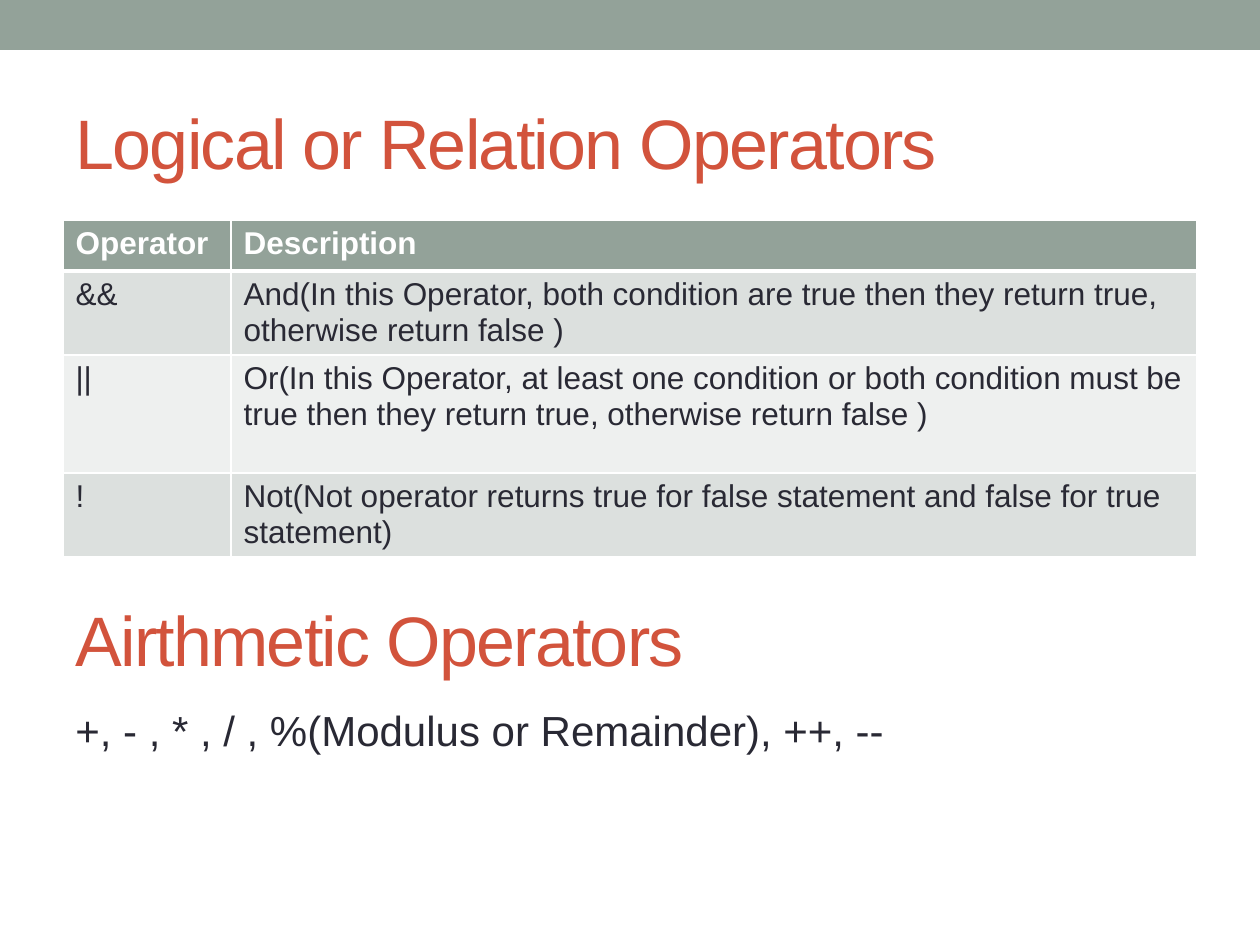
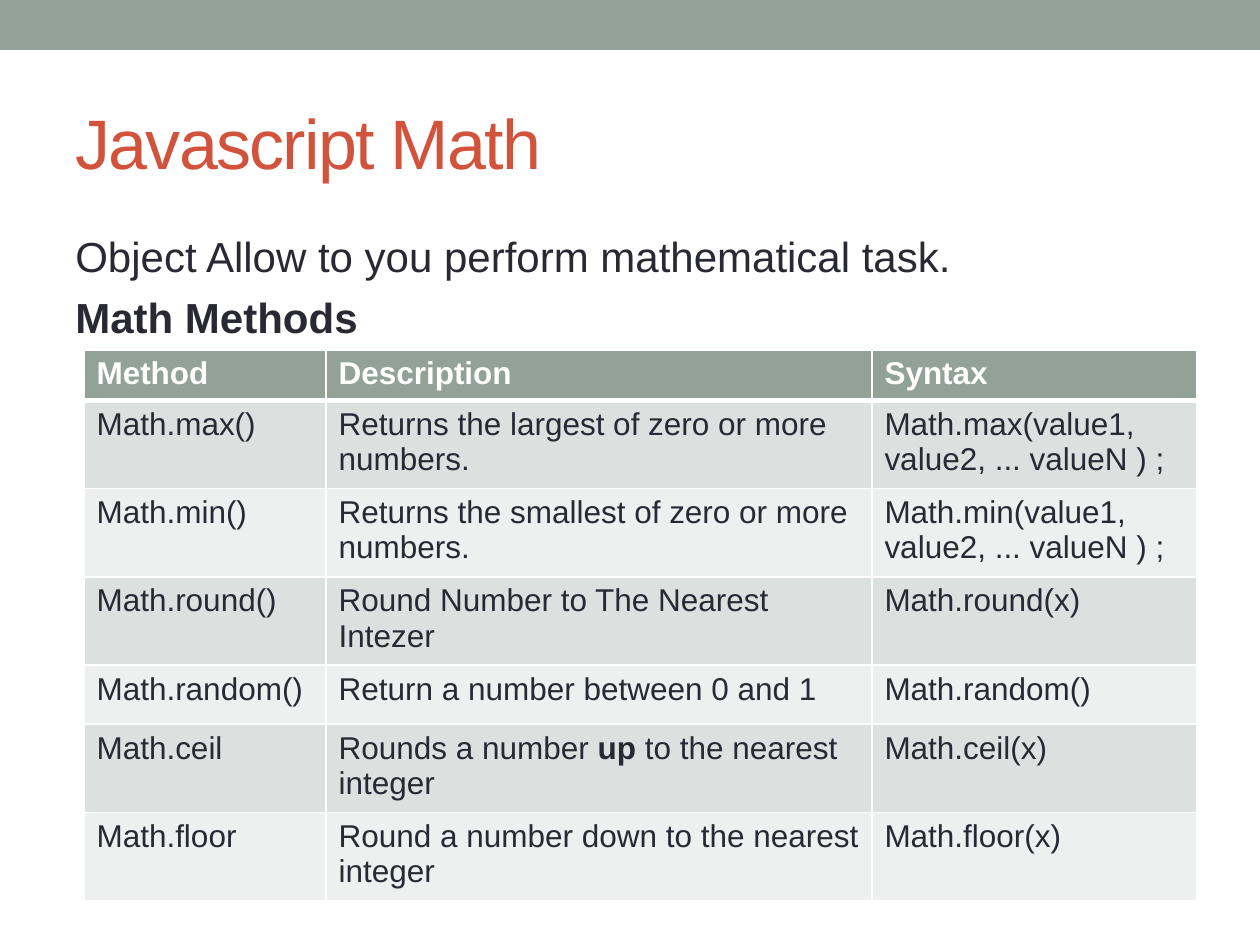
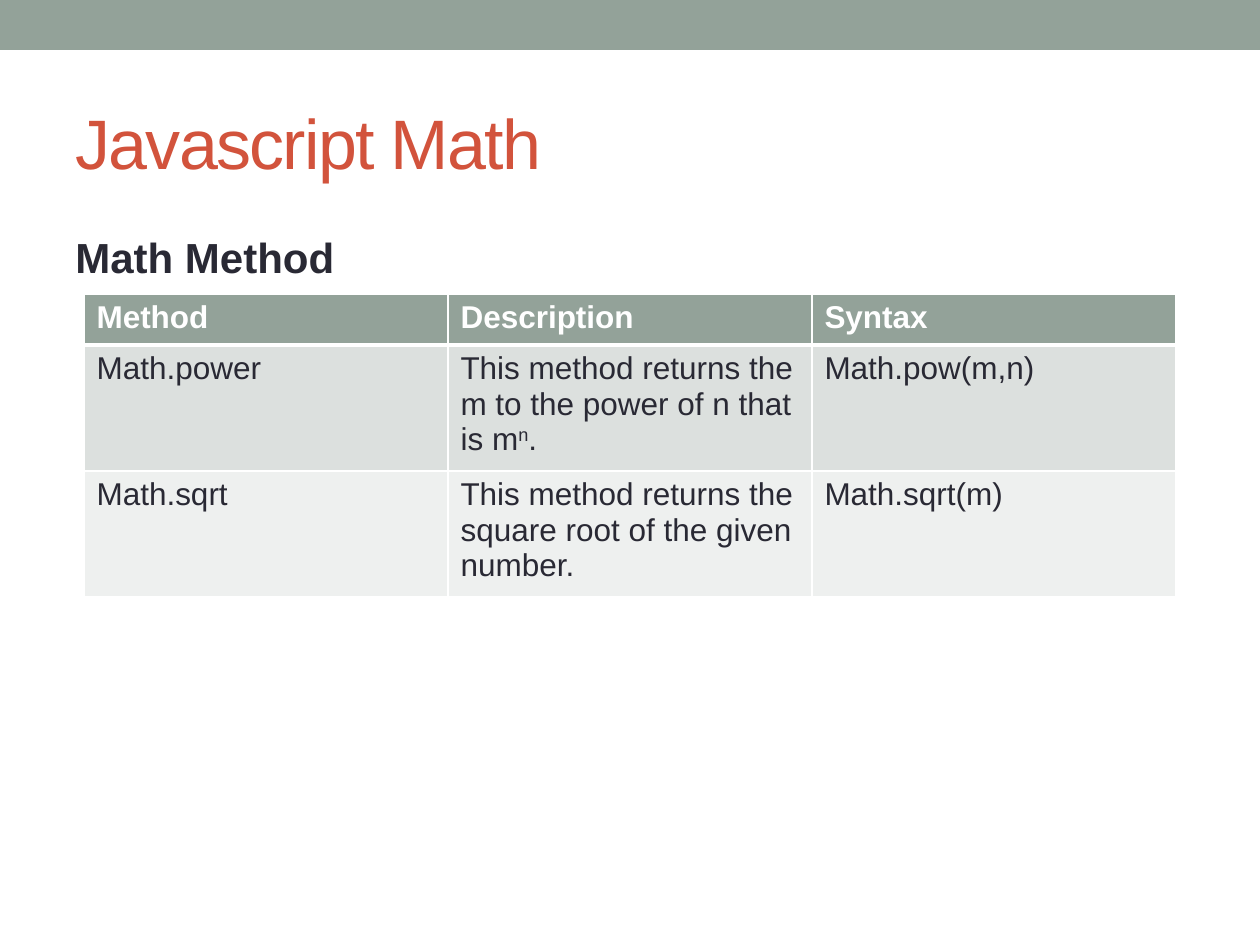
from lxml.etree import SubElement
from pptx import Presentation
from pptx.dml.color import RGBColor
from pptx.enum.shapes import MSO_SHAPE
from pptx.enum.text import MSO_ANCHOR, MSO_AUTO_SIZE, PP_ALIGN
from pptx.oxml.ns import qn
from pptx.util import Emu, Pt

FONT = "Arial"
SAGE, BRICK, INK, WHITE = "93A299", "D2533C", "292934", "FFFFFF"
STRIPES = ["DCE0DE", "EEF0EF"]
WIDTH, HEIGHT, BAND = 1260, 945, 50
LEFT, CONTENT_W = 63, 1134
TITLE_BOX = (LEFT, 73, CONTENT_W, 136)
MATH_HEADER = ["Method", "Description", "Syntax"]


def px(n):
    """Turn pixels at 126 to the inch into EMU."""
    return Emu(round(n * 914400 / 126))


def color(value):
    """Turn a hex string into a colour."""
    return RGBColor.from_string(value)


def place(sp, box):
    """Move a shape to a box of left, top, width, height."""
    sp.left, sp.top, sp.width, sp.height = map(px, box)


def write(tf, *paras, size=18, ink=INK, bold=False, spacing=0, before=0):
    """Fill a text frame; a paragraph is a string or a list of (text, style) runs."""
    tf.word_wrap = True
    for i, para in enumerate(paras):
        p = tf.paragraphs[0] if i == 0 else tf.add_paragraph()
        p.alignment = PP_ALIGN.LEFT
        p.space_before = Pt(before if i else 0)
        for text, style in [(para, "")] if isinstance(para, str) else para:
            r = p.add_run()
            r.text = text
            r.font.name, r.font.size = FONT, Pt(size)
            r.font.bold = bold or style == "bold"
            r.font.color.rgb = color(ink)
            rPr = r._r.get_or_add_rPr()
            if spacing:
                rPr.set("spc", str(spacing * 100))
            if style == "super":
                rPr.set("baseline", "30000")


def heading(sp, text, box):
    """Place a large heading in the title style."""
    place(sp, box)
    tf = sp.text_frame
    tf.auto_size = MSO_AUTO_SIZE.NONE
    tf.vertical_anchor = MSO_ANCHOR.MIDDLE
    write(tf, text, size=40, ink=BRICK, spacing=-1)


def body(slide, box, *paras, bold=False):
    """Add a box of body text."""
    tf = slide.shapes.add_textbox(*map(px, box)).text_frame
    tf.margin_top = px(11)
    write(tf, *paras, size=24, before=6, bold=bold)


def borders(cell, top, bottom):
    """Draw white cell borders, with the top and bottom widths in points."""
    tcPr = cell._tc.get_or_add_tcPr()
    for side, width in zip("LRTB", (1, 1, top, bottom)):
        ln = SubElement(tcPr, qn(f"a:ln{side}"), w=str(Pt(width)))
        SubElement(SubElement(ln, qn("a:solidFill")), qn("a:srgbClr"), val=WHITE)


def striped_table(slide, left, top, widths, heights, rows):
    """Add a table with a sage header and alternating row fills."""
    box = (left, top, sum(widths), sum(heights))
    table = slide.shapes.add_table(len(rows), len(widths), *map(px, box)).table
    table.first_row = table.horz_banding = False
    for column, width in zip(table.columns, widths):
        column.width = px(width)
    for i, (row, height) in enumerate(zip(rows, heights)):
        table.rows[i].height = px(height)
        header = i == 0
        for j, text in enumerate(row):
            cell = table.cell(i, j)
            borders(cell, 3 if i == 1 else 1, 3 if header else 1)
            cell.fill.solid()
            cell.fill.fore_color.rgb = color(SAGE if header else STRIPES[(i - 1) % 2])
            write(cell.text_frame, text, ink=WHITE if header else INK, bold=header)


def add_slide(prs, title):
    """Add a title-only slide with its title."""
    slide = prs.slides.add_slide(prs.slide_layouts[5])
    heading(slide.shapes.title, title, TITLE_BOX)
    return slide


def add_band(prs, slide):
    """Draw the top band and hand it to the shared layout."""
    sp = slide.shapes.add_shape(MSO_SHAPE.RECTANGLE, 0, 0, px(WIDTH), px(BAND))
    sp.shadow.inherit = False
    sp.fill.solid()
    sp.fill.fore_color.rgb = color(SAGE)
    sp.line.fill.background()
    slide.slide_layout.shapes.element.insert(2, sp.element)


def operators_slide(prs):
    """Build the slide on logical and arithmetic operators."""
    slide = add_slide(prs, "Logical or Relation Operators")
    add_band(prs, slide)
    striped_table(slide, LEFT, 220, [168, 966], [51, 84, 118, 84], [
        ["Operator", "Description"],
        ["&&", "And(In this Operator, both condition are true then they return true, "
               "otherwise return false )"],
        ["||", "Or(In this Operator, at least one condition or both condition must be "
               "true then they return true, otherwise return false )"],
        ["!", "Not(Not operator returns true for false statement and false for true "
              "statement)"],
    ])
    box = (LEFT, 577, CONTENT_W, 123)
    heading(slide.shapes.add_textbox(*map(px, box)), "Airthmetic Operators", box)
    body(slide, (LEFT, 693, CONTENT_W, 84),
         "+, - , * , / , %(Modulus or Remainder), ++, --")


def methods_slide(prs):
    """Build the slide with the main Math methods."""
    slide = add_slide(prs, "Javascript Math")
    body(slide, (LEFT, 220, CONTENT_W, 126),
         "Object Allow to you perform mathematical task.", [("Math Methods", "bold")])
    heights = [48, 84, 84, 84, 59, 84, 84]
    striped_table(slide, 84, 350, [242, 546, 325], heights, [
        MATH_HEADER,
        ["Math.max()", "Returns the largest of zero or more numbers.",
         "Math.max(value1, value2, ... valueN ) ;"],
        ["Math.min()", "Returns the smallest of zero or more numbers.",
         "Math.min(value1, value2, ... valueN ) ;"],
        ["Math.round()", "Round Number to The Nearest Intezer", "Math.round(x)"],
        ["Math.random()", "Return a number between 0 and 1", "Math.random()"],
        ["Math.ceil",
         [("Rounds a number ", ""), ("up", "bold"), (" to the nearest integer", "")],
         "Math.ceil(x)"],
        ["Math.floor", "Round a number down to the nearest integer", "Math.floor(x)"],
    ])


def powers_slide(prs):
    """Build the slide with the power and root methods."""
    slide = add_slide(prs, "Javascript Math")
    body(slide, (LEFT, 220, CONTENT_W, 70), "Math Method", bold=True)
    striped_table(slide, 84, 294, [364] * 3, [51, 118, 118], [
        MATH_HEADER,
        ["Math.power",
         [("This method returns the m to the power of n that is m", ""),
          ("n", "super"), (".", "")],
         "Math.pow(m,n)"],
        ["Math.sqrt", "This method returns the square root of the given number.",
         "Math.sqrt(m)"],
    ])


def main():
    """Build and save the presentation."""
    prs = Presentation()
    prs.slide_width, prs.slide_height = px(WIDTH), px(HEIGHT)
    operators_slide(prs)
    methods_slide(prs)
    powers_slide(prs)
    prs.save("out.pptx")


if __name__ == "__main__":
    main()
